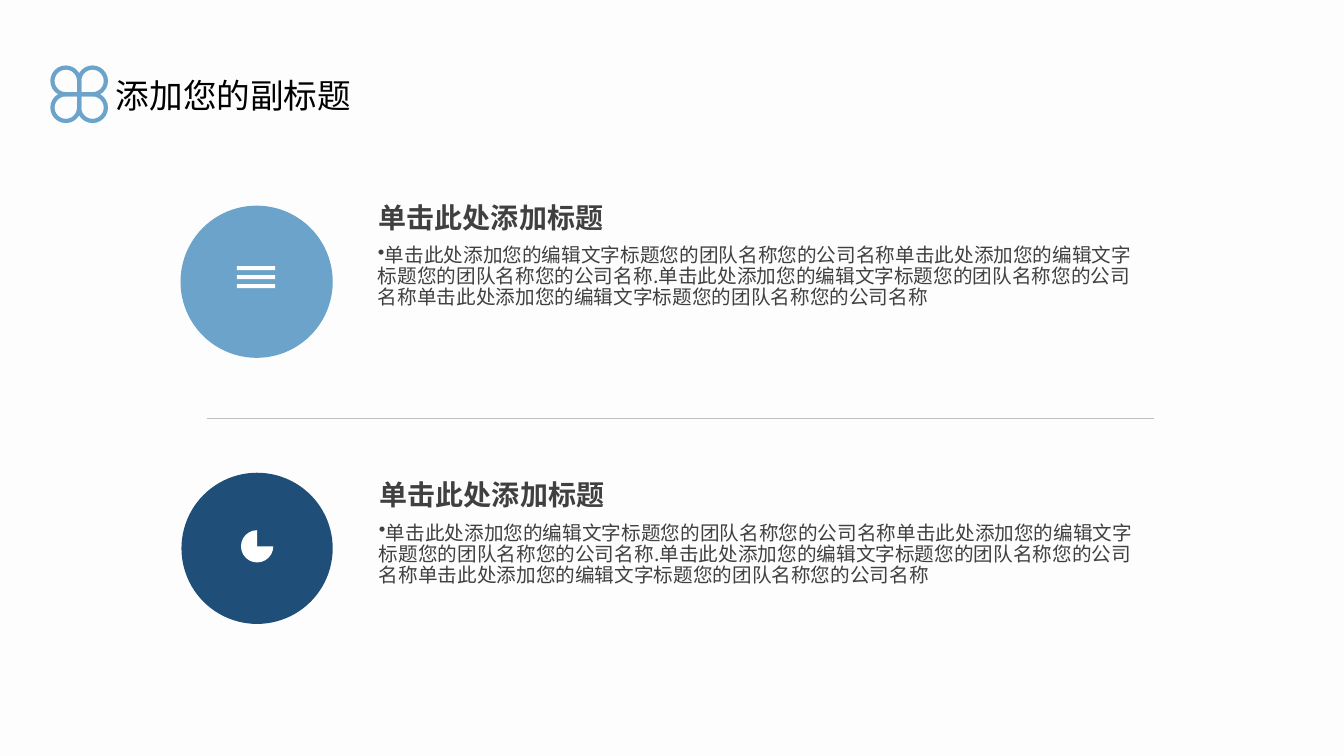
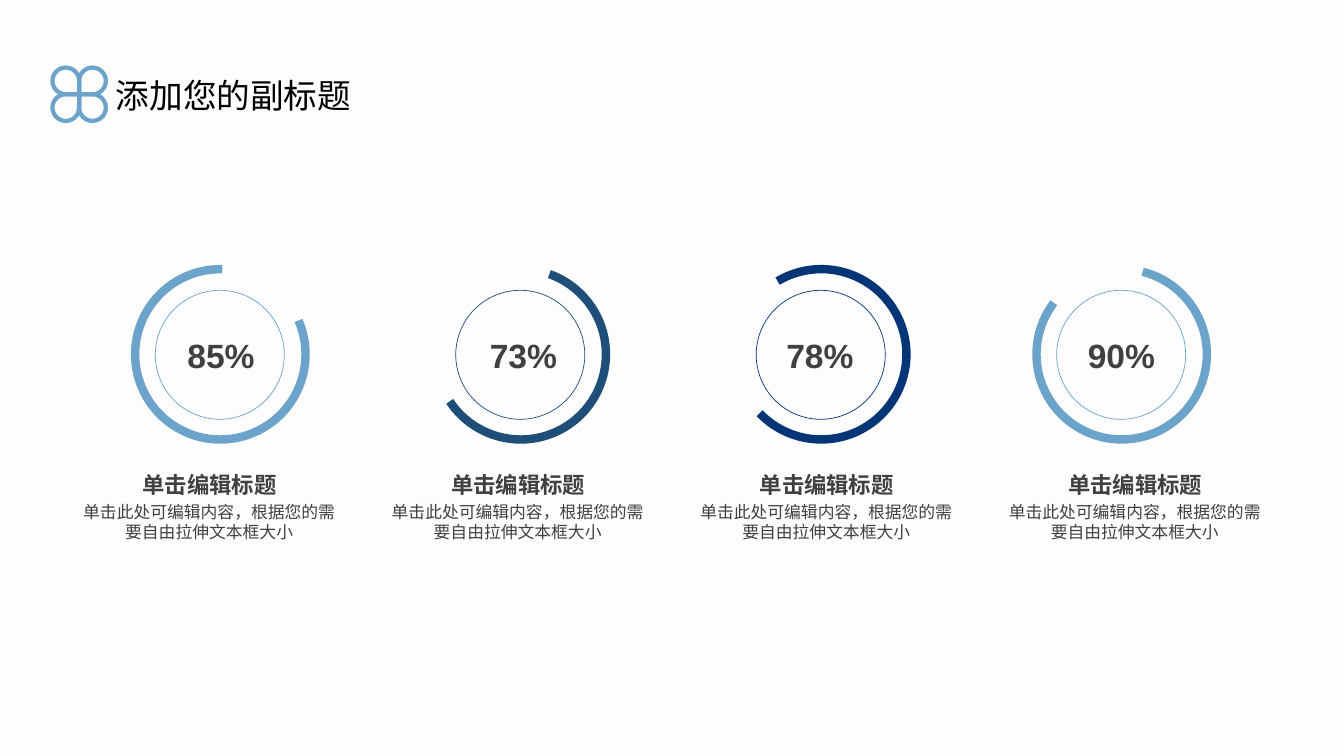
"""Build two slides: a pair of icon rows and a row of percentage gauges."""
from dataclasses import dataclass

from lxml import etree
from pptx import Presentation
from pptx.dml.color import RGBColor
from pptx.enum import shapes, text
from pptx.oxml import ns
from pptx.util import Inches, Pt

SKY = RGBColor(0x6B, 0xA3, 0xCA)
STEEL = RGBColor(0x1F, 0x4E, 0x79)
NAVY = RGBColor(0x03, 0x35, 0x77)
INK = RGBColor(0x40, 0x40, 0x40)
BLACK = RGBColor(0, 0, 0)
WHITE = RGBColor(0xFF, 0xFF, 0xFF)
RULE_GREY = RGBColor(0xBF, 0xBF, 0xBF)
PAPER = RGBColor(0xFD, 0xFD, 0xFD)

CJK_FONT = "Noto Sans CJK SC"
LATIN_FONT = "Arial"
PRESET = shapes.MSO_SHAPE
ALIGN = text.PP_ALIGN

TITLE = "添加您的副标题"
ROW_HEADING = "单击此处添加标题"
ROW_PHRASE = "单击此处添加您的编辑文字标题您的团队名称您的公司名称"
ROW_BODY = f"{ROW_PHRASE * 2}.{ROW_PHRASE * 2}"
CAPTION_HEADING = "单击编辑标题"
CAPTION_BODY = "单击此处可编辑内容，根据您的需要自由拉伸文本框大小"


@dataclass(frozen=True)
class Box:
    """A rectangle in inches."""

    left: float
    top: float
    width: float
    height: float

    def lengths(self) -> tuple:
        """Return the four sides as lengths."""
        return tuple(Inches(side) for side in (self.left, self.top, self.width, self.height))


@dataclass(frozen=True)
class Style:
    """The look of a paragraph."""

    size: float
    font: str = CJK_FONT
    color: RGBColor = INK
    bold: bool = False
    align: ALIGN = ALIGN.LEFT
    line_points: float | None = None
    bullet: str = ""


@dataclass(frozen=True)
class Row:
    """A coloured disc beside a heading and a paragraph."""

    disc: Box
    color: RGBColor
    text_left: float
    text_top: float


@dataclass(frozen=True)
class Gauge:
    """A percentage inside a ring and an arc, with angles in degrees."""

    value: str
    color: RGBColor
    start: float
    end: float
    label_left: float


TITLE_STYLE = Style(24, color=BLACK, line_points=29)
ROW_HEADING_STYLE = Style(20, bold=True, align=ALIGN.CENTER, line_points=24)
ROW_BODY_STYLE = Style(14, line_points=15, bullet="•")
VALUE_STYLE = Style(24, LATIN_FONT, bold=True)
CAPTION_HEADING_STYLE = Style(16, LATIN_FONT, bold=True, align=ALIGN.CENTER)
CAPTION_BODY_STYLE = Style(12, LATIN_FONT, align=ALIGN.CENTER)

ROWS = (
    Row(Box(1.79, 2.04, 1.51, 1.51), SKY, 3.43, 1.94),
    Row(Box(1.8, 4.69, 1.5, 1.5), STEEL, 3.44, 4.69),
)
GAUGES = (
    Gauge("85%", SKY, 336.6, 271.3, 1.76),
    Gauge("73%", STEEL, 289.6, 146.5, 4.76),
    Gauge("78%", NAVY, 239.2, 136.3, 7.7),
    Gauge("90%", SKY, 284.2, 217.2, 10.69),
)
GAUGE_STEP = 2.98
CAPTION_STEP = 3.06


def write(shape, content: str, style: Style) -> None:
    """Put one styled paragraph into a shape."""
    shape.text_frame.text = content
    paragraph = shape.text_frame.paragraphs[0]
    paragraph.alignment = style.align
    if style.line_points:
        paragraph.line_spacing = Pt(style.line_points)
    if style.bullet:
        properties = paragraph._p.get_or_add_pPr()
        properties.set("marL", "0")
        properties.set("indent", "0")
        etree.SubElement(properties, ns.qn("a:buChar"), char=style.bullet)
    for run in paragraph.runs:
        run.font.size = Pt(style.size)
        run.font.bold = style.bold
        run.font.color.rgb = style.color
        run.font.name = style.font
        etree.SubElement(run._r.get_or_add_rPr(), ns.qn("a:ea"), typeface=style.font)


def add_text(slide, box: Box, content: str, style: Style, wrap: bool = True, inset: bool = True) -> None:
    """Add a text box."""
    shape = slide.shapes.add_textbox(*box.lengths())
    frame = shape.text_frame
    frame.word_wrap = wrap
    if not inset:
        frame.margin_left = frame.margin_right = frame.margin_top = frame.margin_bottom = 0
    write(shape, content, style)


def add_filled(slide, preset: PRESET, box: Box, color: RGBColor) -> None:
    """Add a filled preset shape without an outline."""
    shape = slide.shapes.add_shape(preset, *box.lengths())
    shape.shadow.inherit = False
    shape.fill.solid()
    shape.fill.fore_color.rgb = color
    shape.line.fill.background()


def add_outline(slide, preset: PRESET, box: Box, color: RGBColor, width: float):
    """Add an unfilled preset shape with an outline."""
    shape = slide.shapes.add_shape(preset, *box.lengths())
    shape.shadow.inherit = False
    shape.fill.background()
    shape.line.color.rgb = color
    shape.line.width = Pt(width)
    return shape


def add_titled_slide(presentation):
    """Add a slide with the clover mark and the title."""
    slide = presentation.slides.add_slide(presentation.slide_layouts[5])
    title = slide.shapes.title
    title.left, title.top, title.width, title.height = Box(1.05, 0.69, 2.72, 0.5).lengths()
    title.text_frame.vertical_anchor = text.MSO_ANCHOR.TOP
    title.text_frame.auto_size = text.MSO_AUTO_SIZE.NONE
    write(title, TITLE, TITLE_STYLE)
    petal = 0.265
    for column, line, rotation in ((0, 0, 90), (1, 0, 180), (1, 1, 270), (0, 1, 0)):
        box = Box(0.52 + column * petal, 0.67 + line * petal, petal, petal)
        add_outline(slide, PRESET.TEAR, box, SKY, 3).rotation = rotation
    return slide


def add_row(slide, row: Row) -> None:
    """Draw a disc with its heading and paragraph."""
    add_filled(slide, PRESET.OVAL, row.disc, row.color)
    add_text(slide, Box(row.text_left, row.text_top, 2.88, 0.44), ROW_HEADING, ROW_HEADING_STYLE)
    body = Box(row.text_left + 0.22, row.text_top + 0.45, 7.69, 0.95)
    add_text(slide, body, ROW_BODY, ROW_BODY_STYLE)


def build_rows(presentation) -> None:
    """Build the slide with two icon rows."""
    slide = add_titled_slide(presentation)
    for row in ROWS:
        add_row(slide, row)
    for index in range(3):
        add_filled(slide, PRESET.RECTANGLE, Box(2.35, 2.64 + index * 0.09, 0.38, 0.04), WHITE)
    add_filled(slide, PRESET.PIE, Box(2.39, 5.26, 0.32, 0.32), WHITE)
    divider = slide.shapes.add_connector(
        shapes.MSO_CONNECTOR.STRAIGHT, Inches(2.05), Inches(4.15), Inches(11.45), Inches(4.15)
    )
    divider.line.color.rgb = RULE_GREY
    divider.line.width = Pt(1)
    etree.SubElement(divider._element.spPr, ns.qn("a:effectLst"))


def add_gauge(slide, index: int, gauge: Gauge) -> None:
    """Draw a ring, its arc, its value and its caption."""
    left = 1.54 + index * GAUGE_STEP
    add_outline(slide, PRESET.OVAL, Box(left, 2.88, 1.28, 1.28), gauge.color, 0.5)
    arc = add_outline(slide, PRESET.ARC, Box(left - 0.2, 2.67, 1.69, 1.69), gauge.color, 6)
    for position, angle in enumerate((gauge.start, gauge.end)):
        arc.adjustments[position] = angle * 0.6
    add_text(slide, Box(gauge.label_left, 3.27, 0.88, 0.5), gauge.value, VALUE_STYLE, wrap=False)
    caption_left = 0.8 + index * CAPTION_STEP
    heading = Box(caption_left, 4.67, 2.56, 0.27)
    add_text(slide, heading, CAPTION_HEADING, CAPTION_HEADING_STYLE, inset=False)
    body = Box(caption_left, 4.98, 2.55, 0.4)
    add_text(slide, body, CAPTION_BODY, CAPTION_BODY_STYLE, inset=False)


def build_gauges(presentation) -> None:
    """Build the slide with four gauges."""
    slide = add_titled_slide(presentation)
    for index, gauge in enumerate(GAUGES):
        add_gauge(slide, index, gauge)


def main() -> None:
    """Build and save the presentation."""
    presentation = Presentation()
    presentation.slide_width = Inches(13.33)
    presentation.slide_height = Inches(7.5)
    background = presentation.slide_master.background.fill
    background.solid()
    background.fore_color.rgb = PAPER
    build_rows(presentation)
    build_gauges(presentation)
    presentation.save("out.pptx")


if __name__ == "__main__":
    main()
